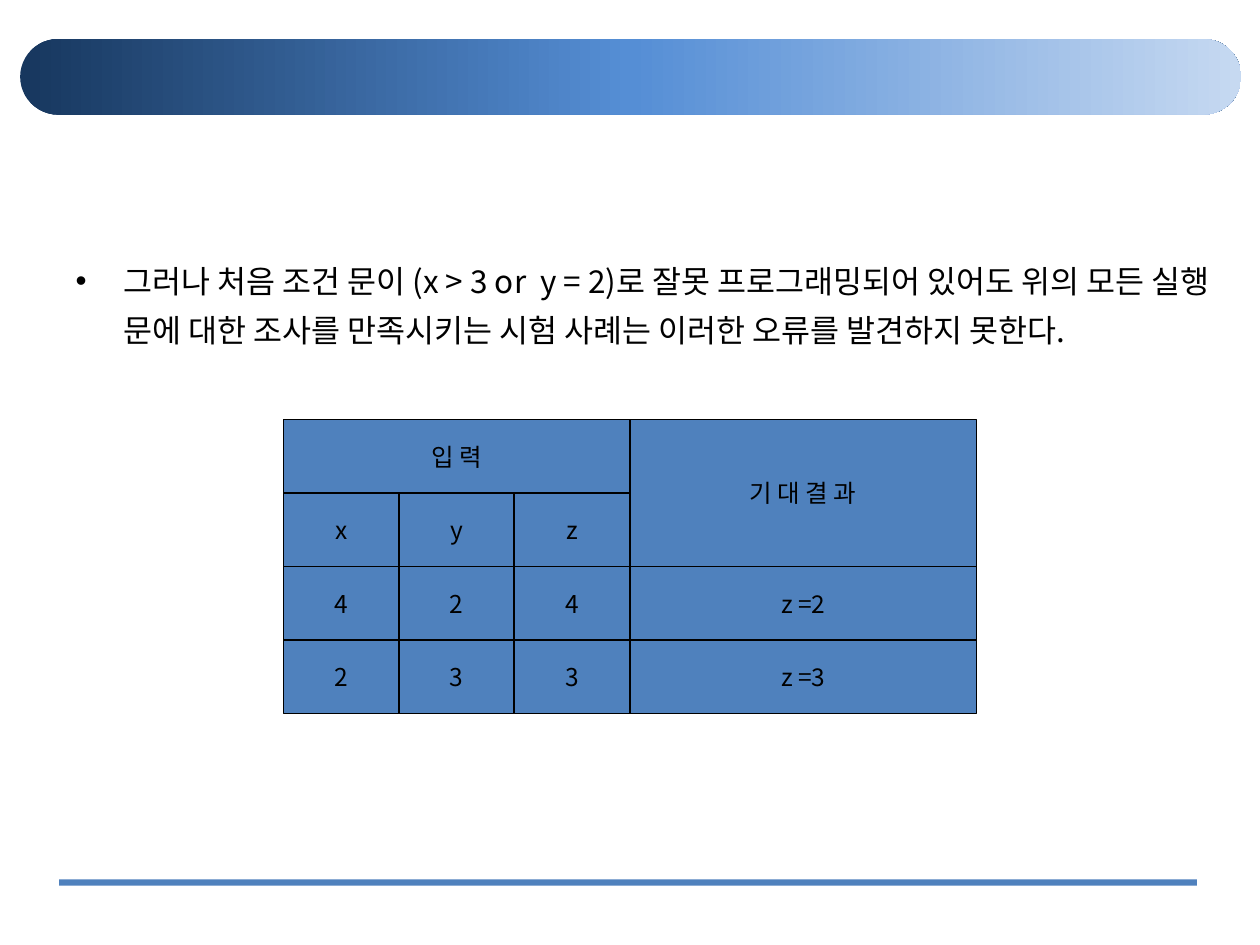
from copy import deepcopy

from pptx import Presentation
from pptx.dml.color import RGBColor
from pptx.enum.shapes import MSO_SHAPE as Shape
from pptx.enum.text import MSO_ANCHOR as Anchor, MSO_AUTO_SIZE as Fit, PP_ALIGN as Align
from pptx.oxml.ns import qn
from pptx.util import Inches, Pt

FONT = "Noto Sans CJK KR"
BLACK = RGBColor(0x00, 0x00, 0x00)
BLUE = RGBColor(0x4F, 0x81, 0xBD)
FADE = [
    (0, RGBColor(0x17, 0x37, 0x5E)),
    (0.5, RGBColor(0x55, 0x8E, 0xD5)),
    (1, RGBColor(0xC6, 0xD9, 0xF1)),
]
BODY = (
    "그러나 처음 조건 문이 (x > 3 or  y = 2)로 잘못 프로그래밍되어 있어도 "
    "위의 모든 실행 문에 대한 조사를 만족시키는 시험 사례는 "
    "이러한 오류를 발견하지 못한다."
)
LEFT, TOP = 2.25, 3.33
WIDE, HIGH = 2.75, 7 / 12
SLIM = WIDE / 3
INPUTS = ["xyz", "424", "233"]
RESULTS = ["z =2", "z =3"]


def write(frame, text, size=14, color=BLACK, align=None, lines=None):
    """Put formatted text in the first paragraph and return that paragraph."""
    para = frame.paragraphs[0]
    para.alignment = align
    para.line_spacing = lines
    run = para.add_run()
    run.text = text
    run.font.size = Pt(size)
    run.font.color.rgb = color
    run.font.name = FONT
    return para


def add_box(shapes, kind, left, top, width, height):
    """Add a plain blue shape without outline or shadow."""
    box = shapes.add_shape(
        kind, Inches(left), Inches(top), Inches(width), Inches(height)
    )
    box.shadow.inherit = False
    box.line.fill.background()
    box.fill.solid()
    box.fill.fore_color.rgb = BLUE
    return box


def fade(bar):
    """Give a bar the three-stop horizontal gradient."""
    bar.fill.gradient()
    bar.fill.gradient_angle = 0
    stops = bar._element.spPr.find(".//" + qn("a:gsLst"))
    stops.append(deepcopy(stops[-1]))
    for stop, (place, color) in zip(bar.fill.gradient_stops, FADE):
        stop.position = place
        stop.color.rgb = color


def add_body(slide):
    """Fill the body placeholder with its single bullet."""
    body = slide.placeholders[1]
    body.left, body.top = Inches(0.5), Inches(1.94)
    body.width, body.height = Inches(9.3), Inches(4.76)
    body.text_frame.auto_size = Fit.NONE
    para = write(body.text_frame, BODY, size=18, lines=1.3)
    props = para._p.get_or_add_pPr()
    props.set("marL", str(Inches(0.38)))
    props.set("indent", str(Inches(-0.38)))


def add_cell(shapes, text, left, row, width=WIDE, rows=1):
    """Add an outlined cell with centred text."""
    cell = add_box(
        shapes, Shape.RECTANGLE, left, TOP + row * HIGH, width, rows * HIGH
    )
    cell.line.color.rgb = BLACK
    cell.line.width = Pt(1)
    frame = cell.text_frame
    frame.word_wrap = False
    frame.vertical_anchor = Anchor.MIDDLE
    write(frame, text, align=Align.CENTER)


def add_grid(slide):
    """Add the grouped cells of the test cases."""
    shapes = slide.shapes.add_group_shape().shapes
    add_cell(shapes, "입 력", LEFT, 0)
    add_cell(shapes, "기 대 결 과", LEFT + WIDE, 0, rows=2)
    for row, marks in enumerate(INPUTS, 1):
        for col, mark in enumerate(marks):
            add_cell(shapes, mark, LEFT + col * SLIM, row, width=SLIM)
    for row, text in enumerate(RESULTS, 2):
        add_cell(shapes, text, LEFT + WIDE, row)


def main():
    """Build the slide and save it."""
    deck = Presentation()
    deck.slide_width, deck.slide_height = Inches(10), Inches(7.5)
    slide = deck.slides.add_slide(deck.slide_layouts[1])
    title = slide.shapes.title._element
    title.getparent().remove(title)
    band = add_box(slide.shapes, Shape.ROUNDED_RECTANGLE, 0.16, 0.31, 9.69, 0.6)
    band.adjustments[0] = 0.5
    fade(band)
    add_box(slide.shapes, Shape.RECTANGLE, 0.47, 6.98, 9.03, 0.05)
    add_body(slide)
    add_grid(slide)
    deck.save("out.pptx")


if __name__ == "__main__":
    main()
